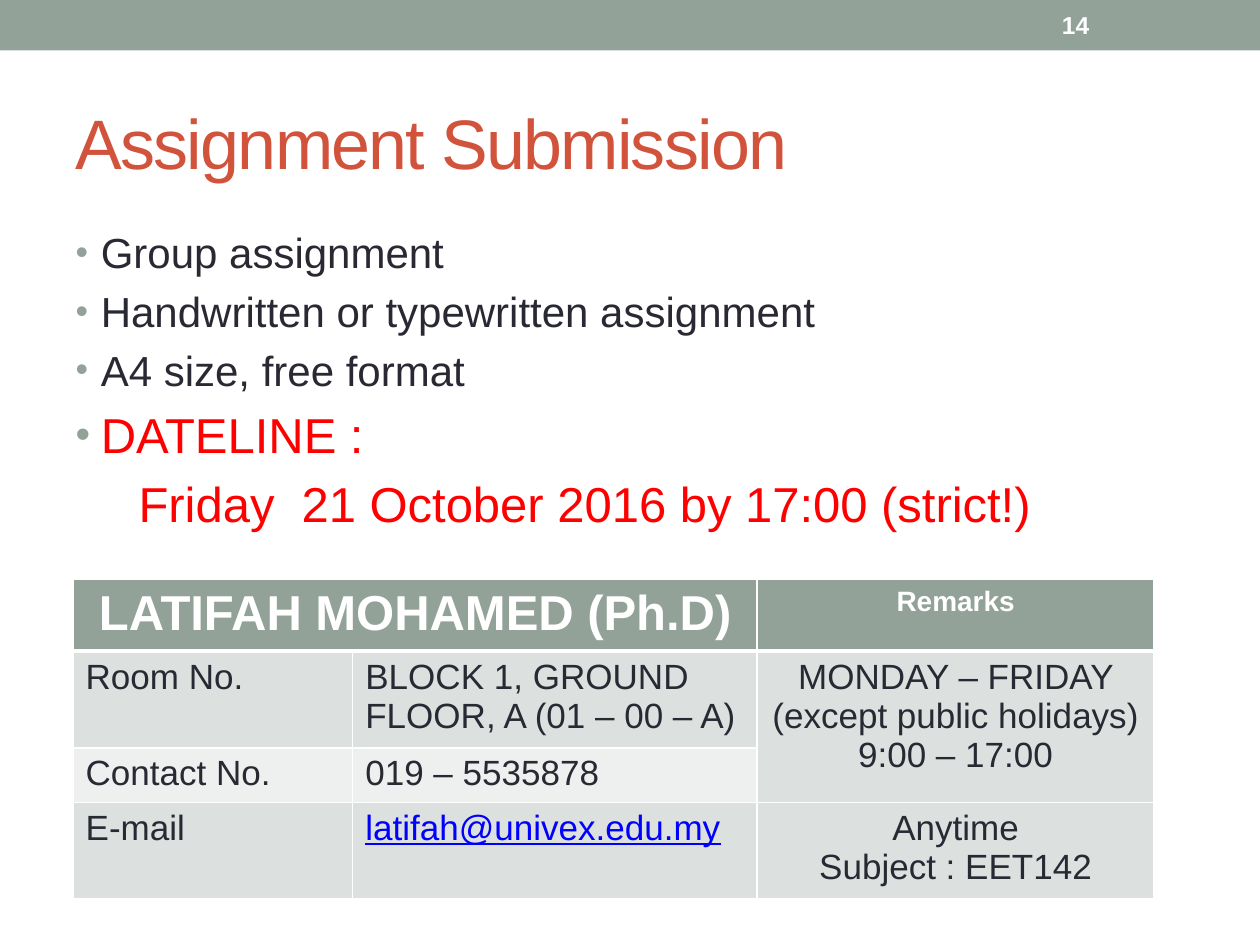
from lxml.etree import SubElement
from pptx import Presentation
from pptx.dml.color import RGBColor
from pptx.enum.shapes import MSO_SHAPE
from pptx.enum.text import MSO_ANCHOR, MSO_AUTO_SIZE, PP_ALIGN
from pptx.oxml import parse_xml
from pptx.oxml.ns import nsdecls, qn
from pptx.util import Inches, Pt

SAGE = RGBColor(0x93, 0xA2, 0x99)
RUST = RGBColor(0xD2, 0x53, 0x3C)
INK = RGBColor(0x29, 0x29, 0x34)
RED = RGBColor(0xFF, 0x00, 0x00)
BLUE = RGBColor(0x00, 0x00, 0xFF)
WHITE = RGBColor(0xFF, 0xFF, 0xFF)
DARK_BAND = RGBColor(0xDC, 0xE0, 0xDE)
LIGHT_BAND = RGBColor(0xEE, 0xF0, 0xEF)


def set_font(paragraph, size, color, bold=False):
    font = paragraph.font
    font.name = "Arial"
    font.size = Pt(size)
    font.color.rgb = color
    font.bold = bold


def place(shape, left, top, width, height):
    shape.left, shape.top = Inches(left), Inches(top)
    shape.width, shape.height = Inches(width), Inches(height)


presentation = Presentation()
presentation.slide_width = Inches(10)
presentation.slide_height = Inches(7.5)
slide = presentation.slides.add_slide(presentation.slide_layouts[1])

banner = slide.shapes.add_shape(MSO_SHAPE.RECTANGLE, 0, 0, Inches(10), Inches(0.4))
banner.shadow.inherit = False
banner.fill.solid()
banner.fill.fore_color.rgb = SAGE
banner.line.fill.background()

title = slide.shapes.title
place(title, 0.5, 0.58, 9, 1.08)
title.text_frame.text = "Assignment Submission"
title.text_frame.vertical_anchor = MSO_ANCHOR.MIDDLE
title.text_frame.auto_size = MSO_AUTO_SIZE.NONE
heading = title.text_frame.paragraphs[0]
heading.alignment = PP_ALIGN.LEFT
set_font(heading, 40, RUST)
heading.runs[0].font._element.set("spc", "-100")

body = slide.placeholders[1]
place(body, 0.5, 1.75, 9, 5.33)
body.text_frame.auto_size = MSO_AUTO_SIZE.NONE
body_lines = [
    ("Group assignment", 24, INK, True),
    ("Handwritten or typewritten assignment", 24, INK, True),
    ("A4 size, free format", 24, INK, True),
    ("DATELINE : ", 28, RED, True),
    ("\tFriday  21 October 2016 by 17:00 (strict!)", 28, RED, False),
]
body.text_frame.text = "\n".join(line[0] for line in body_lines)
for paragraph, (text, size, color, bulleted) in zip(body.text_frame.paragraphs, body_lines):
    set_font(paragraph, size, color)
    properties = paragraph._p.get_or_add_pPr()
    indent = Inches(0.2) if bulleted else 0
    properties.set("marL", str(indent))
    properties.set("indent", str(-indent))
    bullet_tags = [("a:buNone", {})]
    if bulleted:
        bullet_tags = [
            ("a:buClr", {}),
            ("a:buSzPct", {"val": "85000"}),
            ("a:buFont", {"typeface": "Arial"}),
            ("a:buChar", {"char": "•"}),
        ]
    position = 0
    for tag, attributes in bullet_tags:
        bullet = SubElement(properties, qn(tag), attributes)
        if tag == "a:buClr":
            SubElement(bullet, qn("a:srgbClr"), {"val": str(SAGE)})
        properties.insert(position, bullet)
        position += 1

number_box = slide.shapes.add_textbox(Inches(8.33), Inches(0.02), Inches(1.17), Inches(0.36))
number_box.text_frame.word_wrap = True
number_box.text_frame.vertical_anchor = MSO_ANCHOR.MIDDLE
number_box.text_frame.text = "14"
set_font(number_box.text_frame.paragraphs[0], 14, WHITE, True)

rows = [
    ("LATIFAH MOHAMED (Ph.D)", "", "Remarks"),
    ("Room No.", "BLOCK 1, GROUND FLOOR, A (01 – 00 – A)",
     "MONDAY – FRIDAY (except public holidays)\n9:00 – 17:00"),
    ("Contact No.", "019 – 5535878", ""),
    ("E-mail", "latifah@univex.edu.my", "Anytime\nSubject : EET142"),
]
row_heights = [0.52, 0.72, 0.41, 0.72]
column_widths = [2.22, 3.21, 3.15]
row_fills = [SAGE, DARK_BAND, LIGHT_BAND, DARK_BAND]
frame = slide.shapes.add_table(4, 3, Inches(0.58), Inches(4.6),
                               Inches(sum(column_widths)), Inches(sum(row_heights)))
table = frame.table
for column, width in zip(table.columns, column_widths):
    column.width = Inches(width)
for row, height in zip(table.rows, row_heights):
    row.height = Inches(height)
table.cell(0, 0).merge(table.cell(0, 1))
table.cell(1, 2).merge(table.cell(2, 2))

for row_index, texts in enumerate(rows):
    for column_index, text in enumerate(texts):
        cell = table.cell(row_index, column_index)
        cell.fill.solid()
        cell.fill.fore_color.rgb = row_fills[row_index]
        cell_properties = cell._tc.get_or_add_tcPr()
        for position, side in enumerate(("lnL", "lnR", "lnT", "lnB")):
            thick = (row_index, side) in [(0, "lnB"), (1, "lnT")]
            cell_properties.insert(position, parse_xml(
                f'<a:{side} {nsdecls("a")} w="{Pt(3 if thick else 1)}"><a:solidFill>'
                f'<a:srgbClr val="{WHITE}"/></a:solidFill></a:{side}>'))
        if cell.is_spanned:
            continue
        cell.text = text
        header = row_index == 0
        size = (28 if column_index == 0 else 16) if header else 20
        for paragraph in cell.text_frame.paragraphs:
            set_font(paragraph, size, WHITE if header else INK, header)
            if header or column_index == 2:
                paragraph.alignment = PP_ALIGN.CENTER

email_font = table.cell(3, 1).text_frame.paragraphs[0].font
email_font.color.rgb = BLUE
email_font.underline = True

presentation.save("out.pptx")
